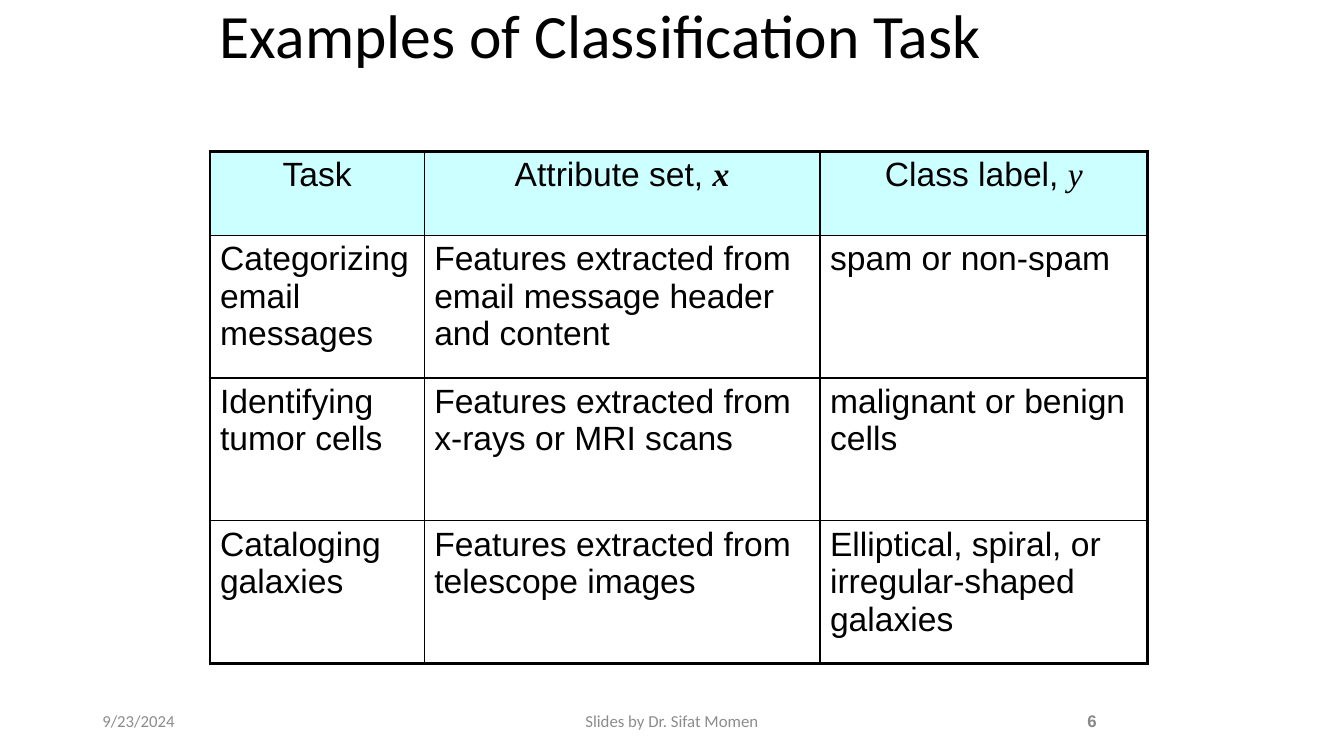
from lxml.etree import SubElement
from pptx import Presentation
from pptx.dml.color import RGBColor
from pptx.enum.text import MSO_ANCHOR as Anchor, PP_ALIGN as Align
from pptx.oxml.ns import qn
from pptx.util import Pt

PX = 9525  # EMU per px, at 96 px to the inch

HEADINGS = [
    [("Task", False, False)],
    [("Attribute set, ", False, False), ("x", True, True)],
    [("Class label, ", False, False), ("y", True, False)],
]
TASKS = [
    ("Categorizing email messages",
     "Features extracted from email message header and content",
     "spam or non-spam"),
    ("Identifying tumor cells",
     "Features extracted from x-rays or MRI scans",
     "malignant or benign cells"),
    ("Cataloging galaxies",
     "Features extracted from telescope images",
     "Elliptical, spiral, or irregular-shaped galaxies"),
]
COLUMN_WIDTHS = [204, 377, 312]
ROW_HEIGHTS = [80, 136, 136, 136]


def color(value):
    return RGBColor.from_string(value)


def set_font(font, name, size, value, bold=False):
    font.name, font.size, font.bold = name, Pt(size), bold
    font.color.rgb = color(value)


def add_text(page, box, text, name, size, value, bold=False,
             align=Align.LEFT, anchor=Anchor.MIDDLE, spacing=None):
    """Place one line of text in a box given in px."""
    frame = page.shapes.add_textbox(*(n * PX for n in box)).text_frame
    frame.word_wrap = True
    frame.vertical_anchor = anchor
    para = frame.paragraphs[0]
    para.text, para.alignment, para.line_spacing = text, align, spacing
    set_font(para.font, name, size, value, bold)


def set_borders(cell, widths):
    """Draw black cell borders; widths are points for left, right, top, bottom."""
    properties = cell._tc.get_or_add_tcPr()
    for side, width in zip("LRTB", widths):
        line = SubElement(properties, qn(f"a:ln{side}"), w=str(Pt(width)))
        fill = SubElement(line, qn("a:solidFill"))
        SubElement(fill, qn("a:srgbClr"), val="000000")


def add_task_table(page, left, top):
    rows, columns = len(ROW_HEIGHTS), len(COLUMN_WIDTHS)
    table = page.shapes.add_table(
        rows, columns, left * PX, top * PX,
        sum(COLUMN_WIDTHS) * PX, sum(ROW_HEIGHTS) * PX).table
    table.first_row = table.horz_banding = False
    for column, width in zip(table.columns, COLUMN_WIDTHS):
        column.width = width * PX
    for row, height in zip(table.rows, ROW_HEIGHTS):
        row.height = height * PX

    body = [[[(text, False, False)] for text in task] for task in TASKS]
    for r, row in enumerate([HEADINGS] + body):
        for c, spans in enumerate(row):
            cell = table.cell(r, c)
            # Outer edges are thick, inner ones thin
            outer = (c == 0, c == columns - 1, r == 0, r == rows - 1)
            set_borders(cell, [2.25 if edge else 1 for edge in outer])
            if r == 0:
                cell.fill.solid()
                cell.fill.fore_color.rgb = color("CCFFFF")
            else:
                cell.fill.background()
            para = cell.text_frame.paragraphs[0]
            para.alignment = Align.CENTER if r == 0 else Align.LEFT
            set_font(para.font, "Arial", 24, "000000")
            for text, symbol, bold in spans:
                span = para.add_run()
                span.text = text
                set_font(span.font, "Times New Roman" if symbol else "Arial",
                         24, "000000", bold)
                span.font.italic = symbol


def add_footer(page, top, height):
    add_text(page, (838, top, 216, height), "6", "Arial", 12, "888888",
             bold=True, align=Align.RIGHT)
    add_text(page, (88, top, 288, height), "9/23/2024", "Calibri", 12, "8C8C8C")
    add_text(page, (424, top, 432, height), "Slides by Dr. Sifat Momen",
             "Calibri", 12, "8C8C8C", align=Align.CENTER)


def main():
    deck = Presentation()
    deck.slide_width, deck.slide_height = 1280 * PX, 720 * PX
    page = deck.slides.add_slide(deck.slide_layouts[6])
    # Title
    add_text(page, (200, 16, 870, 56), "Examples of Classification Task",
             "Calibri", 44, "000000", anchor=Anchor.BOTTOM, spacing=1.12)
    # Table of tasks
    add_task_table(page, 200, 144)
    # Date, author and page number
    add_footer(page, 667, 38)
    deck.save("out.pptx")


if __name__ == "__main__":
    main()
